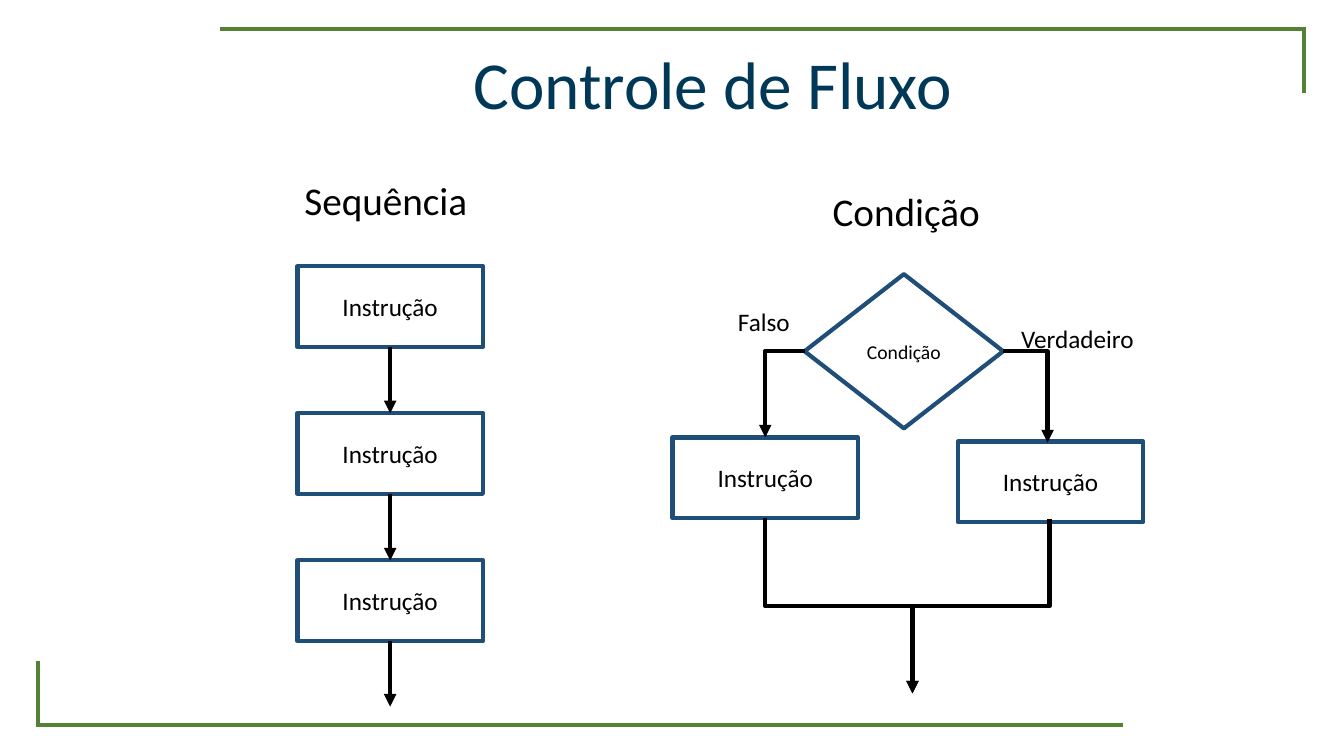
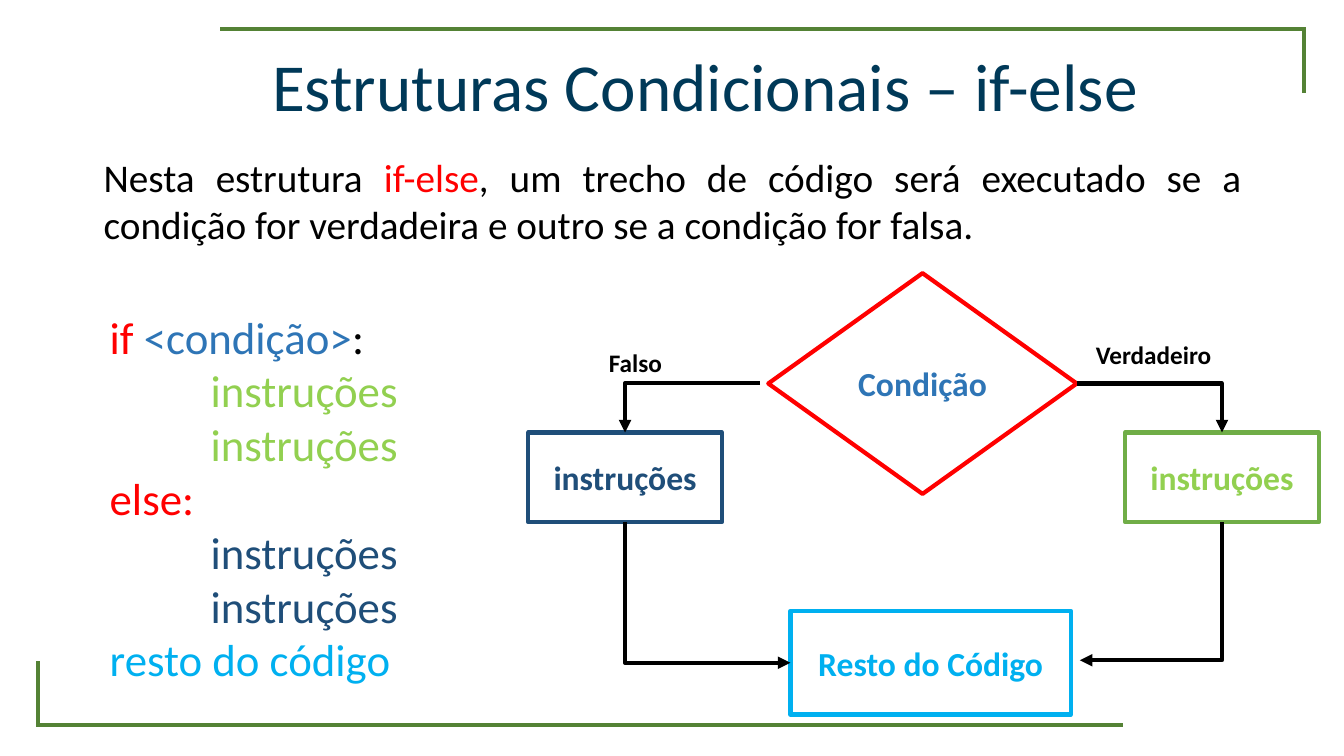
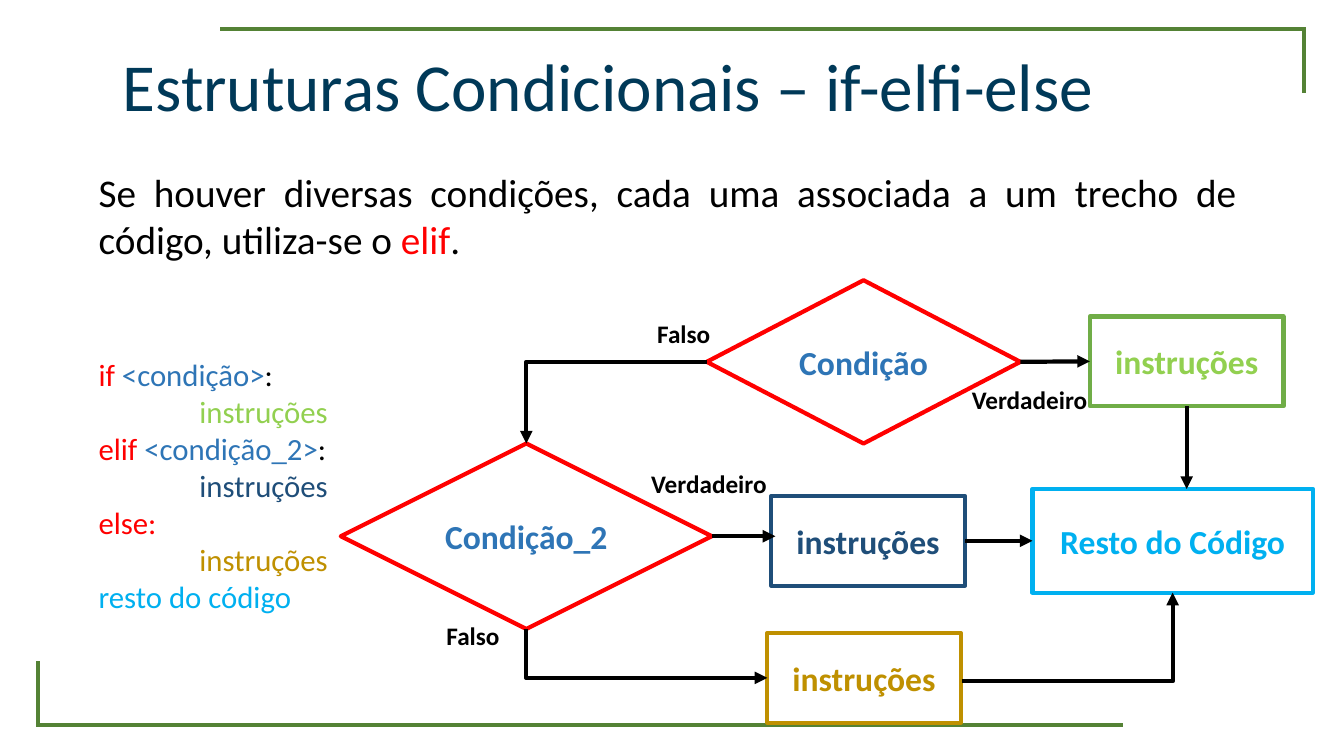
from lxml.etree import SubElement
from pptx import Presentation
from pptx.dml.color import RGBColor
from pptx.enum.shapes import MSO_CONNECTOR as Link, MSO_SHAPE as Form
from pptx.enum.text import MSO_ANCHOR as Anchor, PP_ALIGN as Align
from pptx.oxml.ns import qn
from pptx.util import Inches, Pt

FONT = "Calibri"
INK = {
    "black": "000000", "white": "FFFFFF", "title": "003958", "frame": "548235",
    "red": "FF0000", "blue": "2E75B6", "navy": "1F4E79", "lime": "92D050",
    "green": "70AD47", "sky": "00B0F0", "gold": "BF9000",
}
FRAME = [
    ((12.93, 0.28), (12.93, 0.92)), ((12.95, 0.29), (2.18, 0.29)),
    ((0.38, 7.21), (0.38, 6.56)), ((0.36, 7.19), (11.14, 7.19)),
]
STEP, BLOCK, REST = (1.84, 0.8), (1.92, 0.89), (2.78, 1.03)
RECT, GEM = Form.RECTANGLE, Form.DIAMOND
STEP_X, STEP_Y, STEP_GAP = 2.95, 2.64, 1.46

# nodes: name -> form, place, size, text, line colour, text colour
# links: start, end, route (h and v give the order of the legs)
# notes: place, size, text
# texts: place, size, points, alignment, lines of (indent, runs)
SLIDES = [
    {
        "title": ("Controle de Fluxo", 0.37, Align.CENTER),
        "size": 18, "bold": False,
        "nodes": {
            **{f"step{i}": (RECT, (STEP_X, STEP_Y + i * STEP_GAP), STEP,
                            "Instrução", "navy", "black") for i in range(3)},
            "cond": (GEM, (7.98, 2.72), (1.97, 1.53), "Condição", "navy", "black", 14),
            "no": (RECT, (6.67, 4.34), STEP, "Instrução", "navy", "black"),
            "yes": (RECT, (9.5, 4.38), STEP, "Instrução", "navy", "black"),
        },
        "links": [
            (("step0", "bottom"), ("step1", "top"), "line"),
            (("step1", "bottom"), ("step2", "top"), "line"),
            (("step2", "bottom"), (3.87, 7.01), "line"),
            (("cond", "left"), ("no", "top"), "hv"),
            (("cond", "right"), (10.39, 4.39), "hv"),
            (("no", "bottom"), (9.05, 6.88), "vhv"),
            ((10.41, 5.15), (9.05, 6.88), "vhv"),
        ],
        "notes": [((7.22, 2.99), (0.72, 0.4), "Falso"),
                  ((10.03, 3.16), (1.33, 0.4), "Verdadeiro")],
        "texts": [
            ((2.92, 1.7), (1.84, 0.57), 28, Align.LEFT, [(0, [("Sequência", "black")])]),
            ((8.16, 1.81), (1.79, 0.57), 28, Align.LEFT, [(0, [("Condição", "black")])]),
        ],
    },
    {
        "title": ("Estruturas Condicionais – if-else ", 0.39, Align.CENTER),
        "size": 24, "bold": True,
        "nodes": {
            "cond": (GEM, (7.62, 2.71), (3.06, 2.19), "Condição", "red", "blue"),
            "yes": (RECT, (11.16, 4.29), BLOCK, "instruções", "green", "lime"),
            "no": (RECT, (5.24, 4.29), BLOCK, "instruções", "navy", "navy"),
            "rest": (RECT, (7.84, 6.06), REST, "Resto do Código", "sky", "sky"),
        },
        "links": [
            (("cond", "right"), ("yes", "top"), "hv"),
            (("yes", "bottom"), (10.71, 6.55), "vh"),
            ((7.54, 3.8), ("no", "top"), "hv"),
            (("no", "bottom"), ("rest", "left"), "vh"),
        ],
        "notes": [((10.77, 3.32), (1.35, 0.4), "Verdadeiro"),
                  ((5.94, 3.4), (0.73, 0.4), "Falso")],
        "texts": [
            ((0.93, 1.47), (11.48, 1.04), 28, Align.JUSTIFY, [
                (0, [("Nesta estrutura ", "black"), ("if-else", "red"),
                     (", um trecho de código será executado se a condição for "
                      "verdadeira e outro se a condição for falsa.", "black")])]),
            ((0.99, 3.02), (4.17, 3.87), 32, Align.LEFT, [
                (0, [("if ", "red"), ("<condição>", "blue"), (":", "black")]),
                (1, [("instruções", "lime")]),
                (1, [("instruções", "lime")]),
                (0, [("else:", "red")]),
                (1, [("instruções", "navy")]),
                (1, [("instruções", "navy")]),
                (0, [("resto do código", "sky")])]),
        ],
    },
    {
        "title": ("Estruturas Condicionais – if-elfi-else", 0.39, Align.LEFT),
        "size": 24, "bold": True,
        "nodes": {
            "cond": (GEM, (7.01, 2.78), (3.11, 1.62), "Condição", "red", "blue"),
            "cond2": (GEM, (3.38, 4.4), (3.68, 1.84), "Condição_2", "red", "blue"),
            "yes": (RECT, (10.81, 3.14), BLOCK, "instruções", "green", "lime"),
            "yes2": (RECT, (7.65, 4.92), BLOCK, "instruções", "navy", "navy"),
            "rest": (RECT, (10.24, 4.85), REST, "Resto do Código", "sky", "sky"),
            "no": (RECT, (7.61, 6.28), BLOCK, "instruções", "gold", "gold"),
        },
        "links": [
            (("yes2", "right"), ("rest", "left"), "line"),
            (("yes", "bottom"), (11.77, 4.85), "line"),
            (("cond", "left"), ("cond2", "top"), "hv"),
            (("cond", "right"), ("yes", "left"), "line"),
            (("cond2", "right"), (7.69, 5.32), "line"),
            (("cond2", "bottom"), ("no", "left"), "vh"),
            ((9.54, 6.76), ("rest", "bottom"), "hv"),
        ],
        "notes": [((9.54, 3.76), (1.35, 0.4), "Verdadeiro"),
                  ((6.36, 4.6), (1.35, 0.4), "Verdadeiro"),
                  ((6.42, 3.11), (0.73, 0.4), "Falso"),
                  ((4.33, 6.11), (0.73, 0.4), "Falso")],
        "texts": [
            ((0.88, 1.62), (11.48, 1.04), 28, Align.JUSTIFY, [
                (0, [("Se houver diversas condições, cada uma associada a um trecho "
                      "de código, utiliza-se o ", "black"),
                     ("elif", "red"), (".", "black")])]),
            ((0.88, 3.48), (3.5, 2.71), 22, Align.LEFT, [
                (0, [("if ", "red"), ("<condição>", "blue"), (":", "black")]),
                (1, [("instruções", "lime")]),
                (0, [("elif ", "red"), ("<condição_2>", "blue"), (":", "black")]),
                (1, [("instruções", "navy")]),
                (0, [("else:", "red")]),
                (1, [("instruções", "gold")]),
                (0, [("resto do código", "sky")])]),
        ],
    },
]


def tint(name):
    return RGBColor.from_string(INK[name])


def add_run(para, text, size, ink, bold=False):
    run = para.add_run()
    run.text = text
    run.font.name, run.font.size, run.font.bold = FONT, Pt(size), bold
    run.font.color.rgb = tint(ink)


def add_text(slide, at, dims, size, align, lines, bold=False, wrap=True):
    frame = slide.shapes.add_textbox(*map(Inches, at + dims)).text_frame
    frame.word_wrap = wrap
    for i, (depth, runs) in enumerate(lines):
        para = frame.add_paragraph() if i else frame.paragraphs[0]
        para.alignment = align
        if depth:
            para._p.get_or_add_pPr().set("marL", str(Inches(depth)))
        for text, ink in runs:
            add_run(para, text, size, ink, bold)
    return frame


def add_node(slide, bold, usual, form, at, dims, text, edge, ink, size=None):
    node = slide.shapes.add_shape(form, *map(Inches, at + dims))
    node.shadow.inherit = False
    if form == GEM:
        node.fill.solid()
        node.fill.fore_color.rgb = tint("white")
    else:
        node.fill.background()
    node.line.color.rgb, node.line.width = tint(edge), Pt(3)
    frame = node.text_frame
    frame.vertical_anchor = Anchor.MIDDLE
    frame.margin_left = frame.margin_right = 0
    para = frame.paragraphs[0]
    para.alignment = Align.CENTER
    add_run(para, text, size or usual, ink, bold)


def pin(nodes, end):
    """Turn (node, side) into a point; a point stays as it is."""
    if end[0] not in nodes:
        return end
    (x, y), (w, h) = nodes[end[0]][1:3]
    return {"top": (x + w / 2, y), "bottom": (x + w / 2, y + h),
            "left": (x, y + h / 2), "right": (x + w, y + h / 2)}[end[1]]


def add_line(slide, start, end, route="line", ink="black", arrow=True):
    """Routes that leave downwards are laid out sideways, then turned."""
    (x1, y1), (x2, y2) = start, end
    turn = 0
    if route[0] == "v":
        turn = 90 if x2 < x1 else 270
        mx, my = (x1 + x2) / 2, (y1 + y2) / 2
        half, rise = (y2 - y1) / 2, abs(x2 - x1) / 2
        if turn == 270:
            half = -half
        x1, x2, y1, y2 = mx - half, mx + half, my - rise, my + rise
    kind = Link.STRAIGHT if route == "line" else Link.ELBOW
    line = slide.shapes.add_connector(kind, *map(Inches, (x1, y1, x2, y2)))
    line.line.color.rgb, line.line.width = tint(ink), Pt(3)
    props = line._element.spPr
    if len(route) == 2:
        props.find(qn("a:prstGeom")).set("prst", "bentConnector2")
    if turn:
        props.find(qn("a:xfrm")).set("rot", str(turn * 60000))
    if arrow:
        SubElement(props.find(qn("a:ln")), qn("a:tailEnd"), type="triangle")
    SubElement(props, qn("a:effectLst"))


def add_slide(deck, data):
    slide = deck.slides.add_slide(deck.slide_layouts[6])
    for start, end in FRAME:
        add_line(slide, start, end, ink="frame", arrow=False)
    title, top, align = data["title"]
    head = add_text(slide, (1.12, top), (11.9, 0.89), 48, align, [(0, [(title, "title")])])
    head.paragraphs[0].line_spacing = Pt(57.6)
    for text in data["texts"]:
        add_text(slide, *text)
    nodes = data["nodes"]
    for node in nodes.values():
        add_node(slide, data["bold"], data["size"], *node)
    for start, end, route in data["links"]:
        add_line(slide, pin(nodes, start), pin(nodes, end), route)
    for at, dims, note in data["notes"]:
        add_text(slide, at, dims, 18, Align.LEFT, [(0, [(note, "black")])],
                 data["bold"], wrap=False)


def main():
    deck = Presentation()
    deck.slide_width, deck.slide_height = Inches(13.33), Inches(7.5)
    for data in SLIDES:
        add_slide(deck, data)
    deck.save("out.pptx")


if __name__ == "__main__":
    main()
